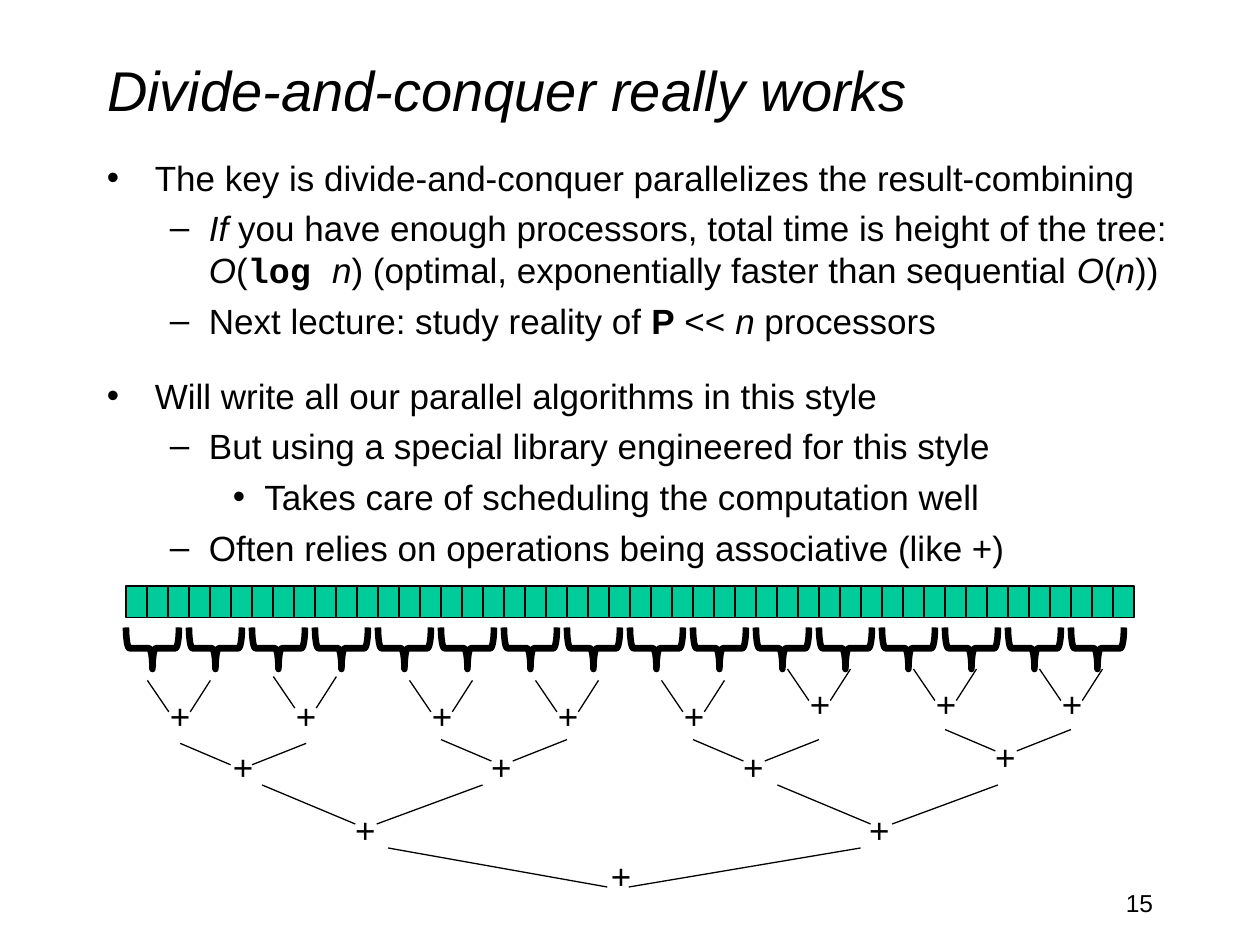
from lxml.etree import SubElement
from pptx import Presentation
from pptx.dml.color import RGBColor
from pptx.enum.shapes import MSO_CONNECTOR, MSO_SHAPE
from pptx.enum.text import MSO_ANCHOR, PP_ALIGN
from pptx.oxml.ns import qn
from pptx.util import Inches, Pt

COLORS = {"ink": "000000", "cell": "00CC99"}
FONT, CODE_FONT = "Arial", "Courier New"

# Bullet character, left margin and hanging indent for each outline level
BULLETS = [("•", 0.38, 0.38), ("–", 0.81, 0.31), ("•", 1.25, 0.25)]

# Level, space before in points, runs as (text, style)
OUTLINE = [
    (0, 0, [("The key is divide-and-conquer parallelizes the result-combining", "")]),
    (1, 5, [("If", "italic"),
            (" you have enough processors, total time is height of the tree: ", ""),
            ("O", "italic"), ("(", ""), ("log ", "code"), ("n", "italic"),
            (") (optimal, exponentially faster than sequential ", ""),
            ("O", "italic"), ("(", ""), ("n", "italic"), ("))", "")]),
    (1, 5, [("Next lecture: study reality of ", ""), ("P", "bold"), (" << ", ""),
            ("n", "italic"), (" processors", "")]),
    (0, 18.5, [("Will write all our parallel algorithms in this style", "")]),
    (1, 5, [("But using a special library engineered for this style", "")]),
    (2, 5, [("Takes care of scheduling the computation well", "")]),
    (1, 5, [("Often relies on operations being associative (like +)", "")]),
]

# Span of the arms, inward run, drop, then nodes as
# (plus left, plus top, arms left, arms top), relative to the tree's box
TREE_LEVELS = [
    (0.5, 0.17, 0.25,
     [(0.25, 0.15, 0.17, 0.09), (1.25, 0.15, 1.17, 0.06)]
     + [(left + 0.08, 0.15, left, 0.09) for left in (2.25, 3.25, 4.25)]
     + [(left + 0.08, 0.06, left, 0) for left in (5.25, 6.25, 7.25)]),
    (1, 0.4, 0.17,
     [(0.75, 0.56, 0.43, 0.59), (2.8, 0.56, 2.5, 0.56),
      (4.8, 0.56, 4.5, 0.56), (6.8, 0.48, 6.5, 0.48)]),
    (1.75, 0.74, 0.31, [(1.72, 1.06, 1.08, 0.92), (5.8, 1.06, 5.17, 0.92)]),
    (3.75, 1.74, 0.31, [(3.75, 1.42, 2.08, 1.42)]),
]


def color(name):
    return RGBColor.from_string(COLORS[name])


def format_run(run, size, style=""):
    run.font.name = CODE_FONT if style == "code" else FONT
    run.font.size = Pt(size)
    run.font.color.rgb = color("ink")
    run.font.bold = style in ("bold", "code")
    run.font.italic = style == "italic"


def add_text_box(slide, left, top, width, height, wrap=True):
    box = slide.shapes.add_textbox(Inches(left), Inches(top), Inches(width), Inches(height))
    box.text_frame.word_wrap = wrap
    return box.text_frame


def add_label(slide, text, left, top, width, height, size, wrap=True, align=PP_ALIGN.LEFT):
    paragraph = add_text_box(slide, left, top, width, height, wrap).paragraphs[0]
    paragraph.text = text
    paragraph.alignment = align
    format_run(paragraph.runs[0], size)


def add_shape(slide, kind, left, top, width, height, line_width):
    shape = slide.shapes.add_shape(kind, Inches(left), Inches(top), Inches(width), Inches(height))
    shape.shadow.inherit = False
    shape.line.color.rgb = color("ink")
    shape.line.width = Pt(line_width)
    return shape


def add_line(slide, x1, y1, x2, y2):
    line = slide.shapes.add_connector(
        MSO_CONNECTOR.STRAIGHT, Inches(x1), Inches(y1), Inches(x2), Inches(y2))
    line.line.color.rgb = color("ink")
    line.line.width = Pt(0.75)
    SubElement(line._element.spPr, qn("a:effectLst"))


def format_title(slide, text, left, top, width, height):
    title = slide.shapes.title
    title.left, title.top = Inches(left), Inches(top)
    title.width, title.height = Inches(width), Inches(height)
    title.text_frame.text = text
    title.text_frame.vertical_anchor = MSO_ANCHOR.MIDDLE
    paragraph = title.text_frame.paragraphs[0]
    paragraph.alignment = PP_ALIGN.LEFT
    format_run(paragraph.runs[0], 32, "italic")


def add_outline(slide, left, top, width, height):
    frame = add_text_box(slide, left, top, width, height)
    frame.margin_top = Inches(0.07)
    for index, (level, space, runs) in enumerate(OUTLINE):
        paragraph = frame.add_paragraph() if index else frame.paragraphs[0]
        paragraph.level = level
        paragraph.space_before = Pt(space)
        bullet, margin, hanging = BULLETS[level]
        properties = paragraph._p.get_or_add_pPr()
        properties.set("marL", str(Inches(margin)))
        properties.set("indent", str(-Inches(hanging)))
        SubElement(properties, qn("a:buFont")).set("typeface", FONT)
        SubElement(properties, qn("a:buChar")).set("char", bullet)
        for text, style in runs:
            run = paragraph.add_run()
            run.text = text
            format_run(run, 20, style)


def add_array(slide, left, top, width, height, count=48):
    cell_width = width / count
    for index in range(count):
        cell = add_shape(slide, MSO_SHAPE.RECTANGLE, left + index * cell_width, top,
                         cell_width, height, 0.75)
        cell.fill.solid()
        cell.fill.fore_color.rgb = color("cell")


def add_braces(slide, left, top, width, height, count=16):
    pitch, span = width / count, 0.42
    for index in range(count):
        # A quarter turn swaps the sides about the centre
        brace_left = left + index * pitch + (span - height) / 2
        brace = add_shape(slide, MSO_SHAPE.LEFT_BRACE, brace_left,
                          top + (height - span) / 2, height, span, 3.75)
        brace.rotation = 270
        brace.fill.background()


def add_tree(slide, left, top):
    for span, inward, drop, nodes in TREE_LEVELS:
        for plus_left, plus_top, arms_left, arms_top in nodes:
            start, end = left + arms_left, left + arms_left + span
            upper = top + arms_top
            tip = start + inward
            add_line(slide, start, upper, tip, upper + drop)
            add_line(slide, end, upper, tip + 0.17, upper + drop)
            add_label(slide, "+", left + plus_left, top + plus_top, 0.36, 0.44, 20, wrap=False)


presentation = Presentation()
presentation.slide_width, presentation.slide_height = Inches(10), Inches(7.5)
slide = presentation.slides.add_slide(presentation.slide_layouts[5])

# Text
format_title(slide, "Divide-and-conquer really works", 0.75, 0.08, 8.5, 1.25)
add_outline(slide, 0.75, 1.17, 8.92, 3.33)
add_label(slide, "15", 7.17, 7, 2.08, 0.5, 14, align=PP_ALIGN.RIGHT)

# Array and its reduction tree
add_array(slide, 1, 4.65, 8, 0.25)
add_braces(slide, 1, 4.98, 8, 0.33)
add_tree(slide, 1, 5.31)

presentation.save("out.pptx")
